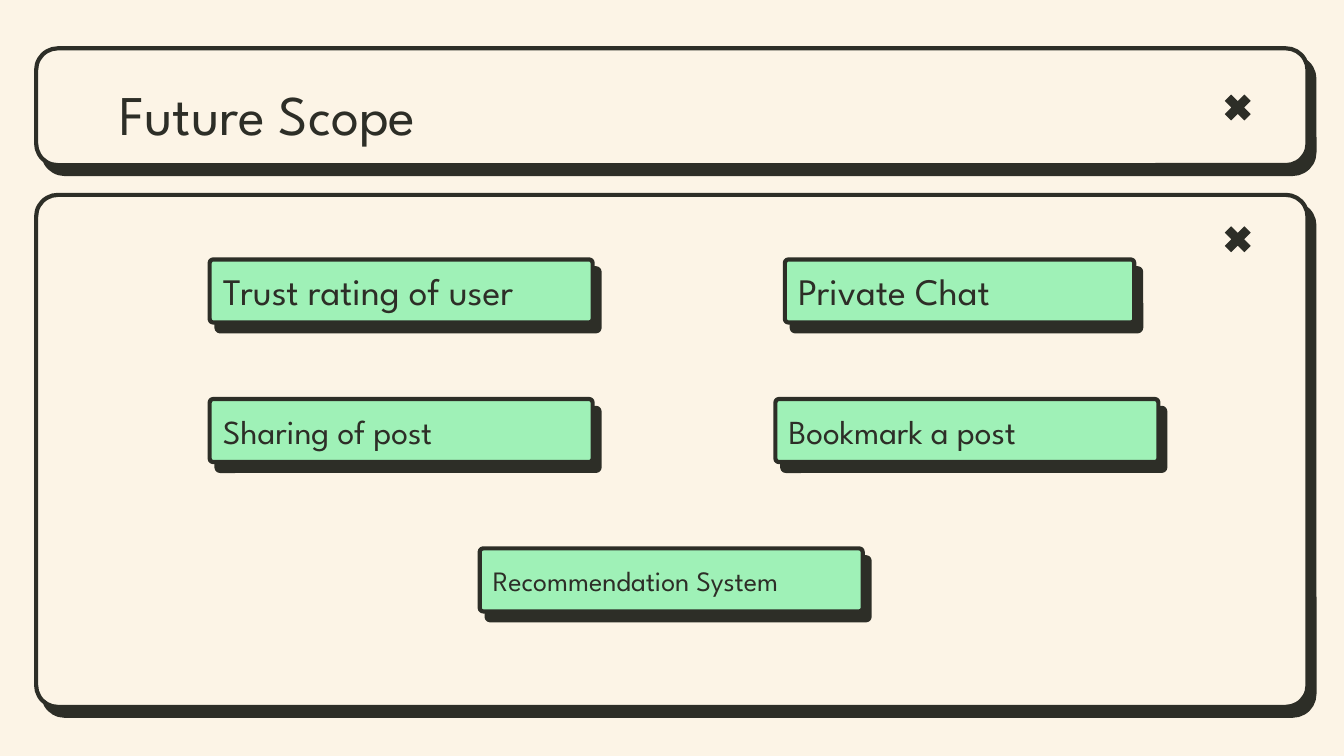
from lxml.etree import SubElement
from pptx import Presentation
from pptx.dml.color import RGBColor
from pptx.enum.shapes import MSO_SHAPE
from pptx.enum.text import MSO_ANCHOR
from pptx.oxml.ns import qn
from pptx.util import Pt

CREAM, INK, GREEN = "FCF4E6", "2D2E27", "9FF1B7"
FONT = "League Spartan"

TITLE = "Future Scope"
PANELS = [
    {"top": 104.4, "height": 274.3, "cross_top": 118.1},
    {"top": 25.9, "height": 62.6, "cross_top": 47.5},
]
PANEL_LEFT, PANEL_WIDTH, PANEL_RADIUS = 19.4, 681.1, 11.6
CROSS_LEFT, CROSS_SIZE = 653, 20.2
CARD_HEIGHT, CARD_RADIUS = 33.8, 1.93
LABEL_HEIGHT = 18.7

CARDS = [
    ("Trust rating of user", 112.3, 139, 205.2, 235.4, 20),
    ("Private Chat", 420.5, 139, 187.2, 177.1, 20),
    ("Sharing of post", 112.3, 213.8, 205.2, 234, 18),
    ("Bookmark a post", 415.4, 213.8, 205.2, 234, 18),
    ("Recommendation System", 257, 293.8, 205.2, 242.6, 15),
]


def color(value):
    return RGBColor.from_string(value)


def paint(shape, fill):
    shape.shadow.inherit = False
    shape.fill.solid()
    shape.fill.fore_color.rgb = color(fill)


def add_shadow(shape):
    effects = shape._element.spPr.find(qn("a:effectLst"))
    shadow = SubElement(effects, qn("a:outerShdw"), blurRad="0", dist=str(Pt(6)),
                        dir=str(52 * 60000), algn="bl", rotWithShape="0")
    SubElement(shadow, qn("a:srgbClr"), val=INK)


def add_box(slide, left, top, width, height, radius, fill):
    shape = slide.shapes.add_shape(
        MSO_SHAPE.ROUNDED_RECTANGLE, Pt(left), Pt(top), Pt(width), Pt(height))
    shape.adjustments[0] = radius / min(width, height)
    paint(shape, fill)
    shape.line.color.rgb = color(INK)
    shape.line.width = Pt(2.25)
    add_shadow(shape)


def add_cross(slide, top):
    shape = slide.shapes.add_shape(
        MSO_SHAPE.MATH_MULTIPLY, Pt(CROSS_LEFT), Pt(top), Pt(CROSS_SIZE), Pt(CROSS_SIZE))
    paint(shape, INK)
    shape.line.fill.background()


def add_text(slide, text, left, top, width, height, size, anchor=MSO_ANCHOR.MIDDLE):
    frame = slide.shapes.add_textbox(Pt(left), Pt(top), Pt(width), Pt(height)).text_frame
    frame.word_wrap = True
    frame.vertical_anchor = anchor
    frame.margin_left = frame.margin_right = Pt(7.2)
    frame.margin_top = frame.margin_bottom = Pt(7.2)
    paragraph = frame.paragraphs[0]
    paragraph.text = text
    paragraph.font.size = Pt(size)
    paragraph.font.name = FONT
    paragraph.font.color.rgb = color(INK)


def main():
    presentation = Presentation()
    presentation.slide_width, presentation.slide_height = Pt(720), Pt(405)
    slide = presentation.slides.add_slide(presentation.slide_layouts[6])
    slide.background.fill.solid()
    slide.background.fill.fore_color.rgb = color(CREAM)

    for panel in PANELS:
        add_box(slide, PANEL_LEFT, panel["top"], PANEL_WIDTH, panel["height"],
                PANEL_RADIUS, CREAM)
        add_cross(slide, panel["cross_top"])

    add_text(slide, TITLE, 56.9, 35.3, 607, 45.4, 30, anchor=MSO_ANCHOR.TOP)

    for label, left, top, width, label_width, size in CARDS:
        add_box(slide, left, top, width, CARD_HEIGHT, CARD_RADIUS, GREEN)
        label_top = top + (CARD_HEIGHT - LABEL_HEIGHT) / 2
        add_text(slide, label, left, label_top, label_width, LABEL_HEIGHT, size)

    presentation.save("out.pptx")


if __name__ == "__main__":
    main()
